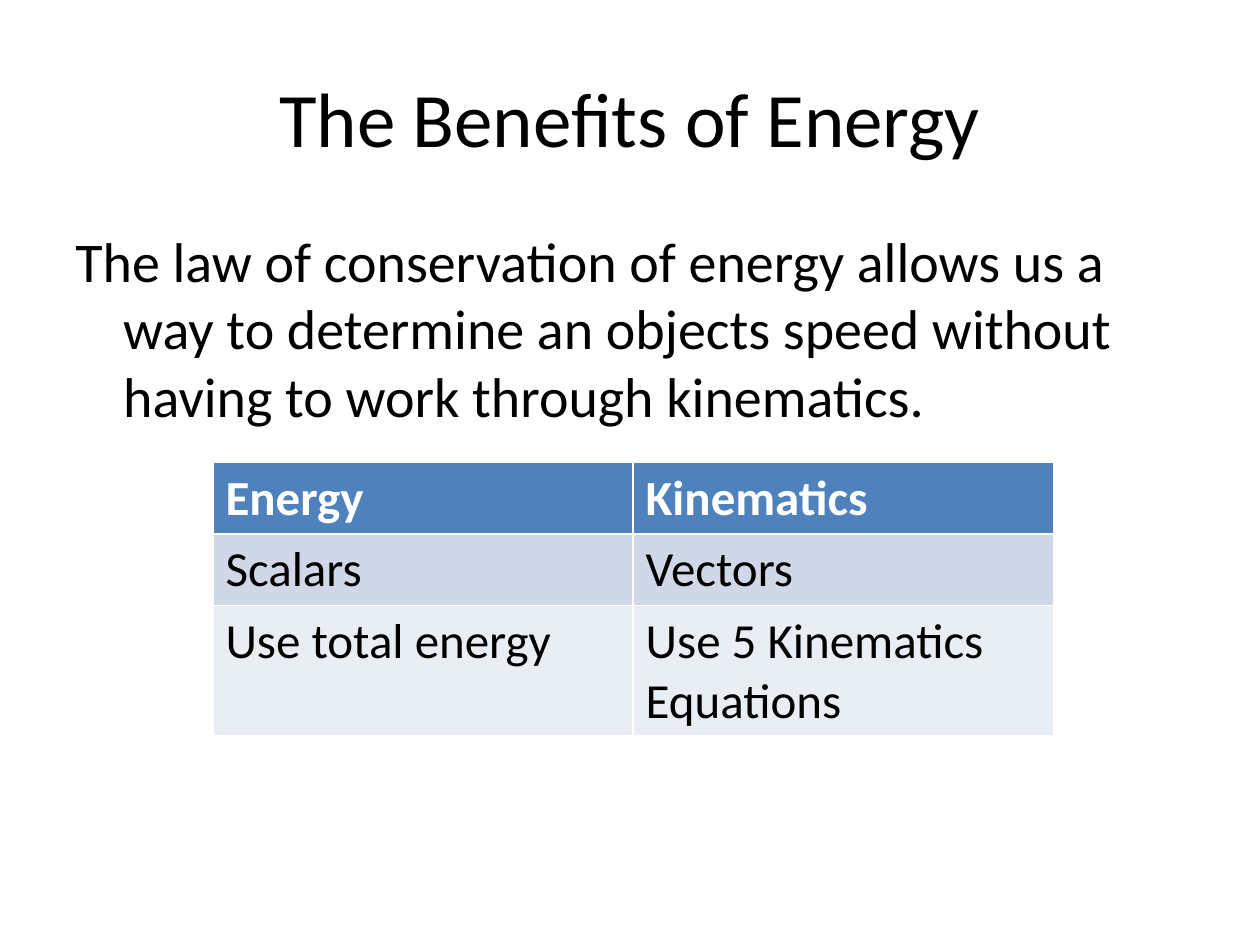
from pptx import Presentation
from pptx.dml.color import RGBColor
from pptx.enum.text import MSO_ANCHOR, PP_ALIGN
from pptx.util import Inches, Pt

BLACK = RGBColor(0x00, 0x00, 0x00)
WHITE = RGBColor(0xFF, 0xFF, 0xFF)
BLUE = RGBColor(0x4F, 0x81, 0xBD)
BAND_DARK = RGBColor(0xD0, 0xD8, 0xE8)
BAND_LIGHT = RGBColor(0xE9, 0xED, 0xF4)


class SlideBuilder:
    font = "Calibri"

    def __init__(self, prs):
        self.s = prs.slides.add_slide(prs.slide_layouts[5])

    def add_text(self, tf, text, size, color=BLACK, bold=False):
        p = tf.paragraphs[0]
        r = p.add_run()
        r.text = text
        formats = {"name": self.font, "size": Pt(size), "bold": bold}
        for name, value in formats.items():
            setattr(r.font, name, value)
        r.font.color.rgb = color
        return p

    def title(self, text, left, top, width, height):
        sp = self.s.shapes.title
        box = {"left": left, "top": top, "width": width, "height": height}
        for name, value in box.items():
            setattr(sp, name, Inches(value))
        sp.text_frame.vertical_anchor = MSO_ANCHOR.MIDDLE
        p = self.add_text(sp.text_frame, text, 44)
        p.alignment = PP_ALIGN.CENTER

    def body(self, text, left, top, width, height, hanging):
        sp = self.s.shapes.add_textbox(*map(Inches, (left, top, width, height)))
        tf = sp.text_frame
        tf.word_wrap = True
        p = self.add_text(tf, text, 32)
        p.space_before = Pt(6.4)
        pPr = p._p.get_or_add_pPr()
        pPr.set("marL", str(Inches(hanging)))
        pPr.set("indent", str(-Inches(hanging)))

    def table(self, rows, left, top, width, row_height):
        box = map(Inches, (left, top, width, row_height * len(rows)))
        table = self.s.shapes.add_table(len(rows), len(rows[0]), *box).table
        for i, row in enumerate(rows):
            header = i == 0
            fill = BLUE if header else (BAND_LIGHT, BAND_DARK)[i % 2]
            for j, text in enumerate(row):
                cell = table.cell(i, j)
                cell.fill.solid()
                cell.fill.fore_color.rgb = fill
                self.add_text(cell.text_frame, text, 28, WHITE if header else BLACK, header)


def main():
    prs = Presentation()
    prs.slide_width, prs.slide_height = Inches(10), Inches(7.5)
    slide = SlideBuilder(prs)
    slide.title("The Benefits of Energy", 0.5, 0.3, 9, 1.25)
    slide.body(
        "The law of conservation of energy allows us a way to determine an objects "
        "speed without having to work through kinematics.",
        0.5, 1.75, 9, 4.95, hanging=0.38,
    )
    slide.table(
        [
            ("Energy", "Kinematics"),
            ("Scalars", "Vectors"),
            ("Use total energy", "Use 5 Kinematics Equations"),
        ],
        1.69, 3.67, 6.67, row_height=0.41,
    )
    prs.save("out.pptx")


if __name__ == "__main__":
    main()
